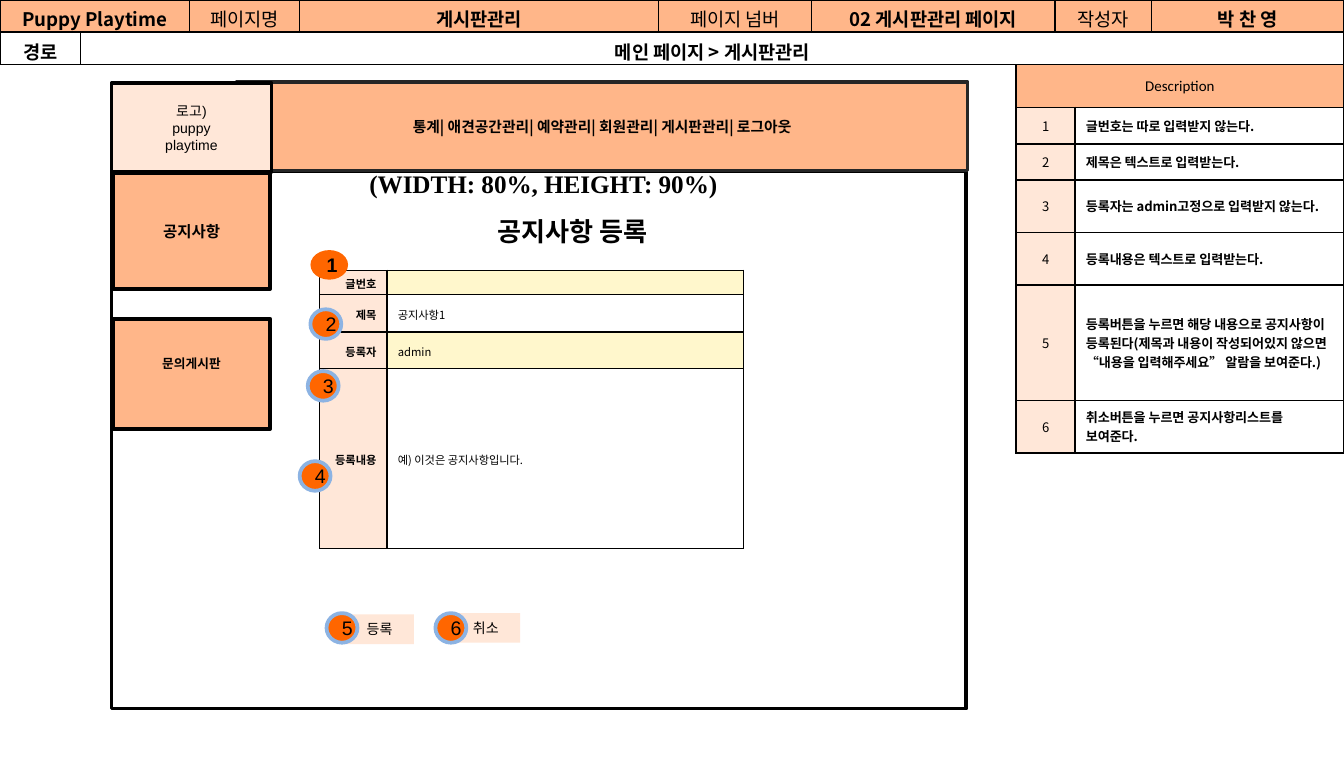
from lxml.etree import SubElement
from pptx import Presentation
from pptx.dml.color import RGBColor
from pptx.enum.shapes import MSO_SHAPE
from pptx.enum.text import MSO_ANCHOR, PP_ALIGN
from pptx.oxml.ns import qn
from pptx.util import Inches, Pt

COLS, ROWS = 1000, 563
WIDTH, HEIGHT = Inches(10), Inches(5.63)
NOTO, ARIAL, TIMES = "Noto Sans CJK KR", "Arial", "Times New Roman"
COLOR = {"black": "000000", "dark": "262626", "peach": "FFB689", "pale": "FFE7D8",
         "cream": "FFF7CC", "white": "FFFFFF", "orange": "FF6600", "blue": "8CB3E3"}


def tint(name):
    """Return a named colour."""
    return RGBColor.from_string(COLOR[name])


def place(box, part):
    """Turn grid units inside a box into slide lengths."""
    left, top, wide, high = part
    return (WIDTH * (box[0] + left) // COLS, HEIGHT * (box[1] + top) // ROWS,
            WIDTH * wide // COLS, HEIGHT * high // ROWS)


def write(frame, text, size, face=NOTO, bold=False, align=PP_ALIGN.CENTER):
    """Fill a text frame and format its runs."""
    frame.text = text
    for para in frame.paragraphs:
        para.alignment = align
        for run in para.runs:
            run.font.size, run.font.name, run.font.bold = Pt(size), face, bold
            run.font.color.rgb = tint("black")
            SubElement(run._r.get_or_add_rPr(), qn("a:ea"), typeface=NOTO)
        if not para.runs:
            SubElement(para._p, qn("a:endParaRPr"), sz=str(int(size * 100)))


def block(slide, box, part, fill, line=None, kind=MSO_SHAPE.RECTANGLE):
    """Draw a filled preset shape and return it."""
    shape = slide.shapes.add_shape(kind, *place(box, part))
    shape.shadow.inherit = False
    shape.fill.solid()
    shape.fill.fore_color.rgb = tint(fill)
    if line:
        shape.line.color.rgb = tint(line)
        shape.line.width = Pt(2)
    else:
        shape.line.fill.background()
    frame = shape.text_frame
    frame.word_wrap = True
    frame.vertical_anchor = MSO_ANCHOR.MIDDLE
    frame.margin_left = frame.margin_right = Inches(0.08)
    frame.margin_top = frame.margin_bottom = Inches(0.04)
    return shape


def label(slide, box, part, text, size, face, wrap):
    """Add a bold line of text."""
    frame = slide.shapes.add_textbox(*place(box, part)).text_frame
    frame.word_wrap = wrap
    write(frame, text, size, face, True, PP_ALIGN.LEFT)


def grid(slide, box, cols, rows):
    """Add a plain table with the given column and row units."""
    table = slide.shapes.add_table(len(rows), len(cols), *place(box, (0, 0, *box[2:]))).table
    table.first_row = table.horz_banding = False
    for col, wide in zip(table.columns, cols):
        col.width = WIDTH * wide // COLS
    for row, high in zip(table.rows, rows):
        row.height = HEIGHT * high // ROWS
    return table


def style(cell, fill, line, insets, anchor=MSO_ANCHOR.MIDDLE):
    """Set a cell's fill, borders, margins and anchor."""
    cell.fill.solid()
    cell.fill.fore_color.rgb = tint(fill)
    cell.vertical_anchor = anchor
    cell.margin_left = cell.margin_right = Inches(insets[0])
    cell.margin_top, cell.margin_bottom = Inches(insets[1]), Inches(insets[2])
    props = cell._tc.get_or_add_tcPr()
    for spot, side in enumerate(("lnL", "lnR", "lnT", "lnB")):
        edge = SubElement(props, qn("a:" + side), w=str(Pt(line)))
        paint = SubElement(edge, qn("a:solidFill"))
        SubElement(paint, qn("a:srgbClr"), val=COLOR["black"])
        props.insert(spot, edge)


def header(slide, box):
    """Draw the page information rows."""
    table = grid(slide, box, (60, 81, 82, 267, 114, 181, 72, 143), (24, 24))
    table.cell(0, 0).merge(table.cell(0, 1))
    table.cell(1, 1).merge(table.cell(1, 7))
    top = ("Puppy Playtime", "", "페이지명", "게시판관리", "페이지 넘버",
           "02 게시판관리 페이지", "작성자", "박 찬 영")
    low = ("경로", "메인 페이지 > 게시판관리") + ("",) * 6
    for row, words in enumerate((top, low)):
        for col, text in enumerate(words):
            cell = table.cell(row, col)
            style(cell, ("peach", "white")[row], 1, (0.09, 0.04, 0),
                  (MSO_ANCHOR.TOP, MSO_ANCHOR.MIDDLE)[row])
            write(cell.text_frame, text, 10, bold=row == 1 or col not in (2, 4, 6))


def notes(slide, box):
    """Draw the numbered description table."""
    table = grid(slide, box, (44, 200), (32, 27, 27, 39, 39, 86, 39))
    table.cell(0, 0).merge(table.cell(0, 1))
    words = ("글번호는 따로 입력받지 않는다.", "제목은 텍스트로 입력받는다.",
             "등록자는 admin고정으로 입력받지 않는다.", "등록내용은 텍스트로 입력받는다.",
             "등록버튼을 누르면 해당 내용으로 공지사항이 등록된다(제목과 내용이 작성되어있지 "
             "않으면 “내용을 입력해주세요” 알람을 보여준다.)",
             "취소버튼을 누르면 공지사항리스트를 보여준다.")
    for cell in (table.cell(0, 0), table.cell(0, 1)):
        style(cell, "peach", 1, (0.08, 0.03, 0.03))
    write(table.cell(0, 0).text_frame, "Description", 8, "Calibri")
    for row, text in enumerate(words, 1):
        mark, body = table.cell(row, 0), table.cell(row, 1)
        style(mark, "pale", 1, (0.08, 0.03, 0.03))
        style(body, "white", 1, (0.08, 0.03, 0.03))
        write(mark.text_frame, str(row), 7)
        write(body.text_frame, text, 7, bold=True, align=PP_ALIGN.LEFT)


def menu(slide, box):
    """Draw the window with its side menu, top bar and logo."""
    block(slide, box, (0, 66, 636, 400), "white", "black")
    ask = block(slide, box, (1, 176, 117, 82), "peach", "black").text_frame
    ask.margin_bottom = Inches(0.19)
    write(ask, "문의게시판", 6.8, ARIAL, True)
    news = block(slide, box, (1, 68, 117, 86), "peach", "black")
    write(news.text_frame, "공지사항", 8.3, bold=True)
    bar = block(slide, box, (93, 0, 544, 66), "peach", "dark")
    write(bar.text_frame, "통계| 애견공간관리| 예약관리| 회원관리| 게시판관리| 로그아웃", 7.9, bold=True)
    logo = block(slide, box, (0, 1, 119, 66), "pale", "black")
    write(logo.text_frame, "로고)\npuppy\nplaytime", 7.5, ARIAL)
    label(slide, box, (182, 59, 333, 54), "(WIDTH: 80%, HEIGHT: 90%)", 13.5, TIMES, True)
    label(slide, box, (277, 94, 142, 34), "공지사항 등록", 14, "Calibri", False)


def form(slide, box):
    """Draw the notice entry table."""
    table = grid(slide, box, (50, 265), (18, 28, 27, 134))
    lines = (("글번호", "", "cream"), ("제목", "공지사항1", "white"),
             ("등록자", "admin", "cream"), ("등록내용", "예) 이것은 공지사항입니다.", "white"))
    for row, (name, value, fill) in enumerate(lines):
        head, body = table.cell(row, 0), table.cell(row, 1)
        style(head, "pale", 0.75, (0.08, 0.04, 0.02))
        style(body, fill, 0.75, (0.08, 0.04, 0.02))
        write(head.text_frame, name, 6, bold=True, align=PP_ALIGN.RIGHT)
        write(body.text_frame, value, 6, align=PP_ALIGN.LEFT)


def marks(slide, box):
    """Draw the two buttons and the numbered badges."""
    for left, top, text in ((34, 271, "등록"), (113, 270, "취소")):
        key = block(slide, box, (left, top, 51, 22), "pale")
        write(key.text_frame, text, 7.5, TIMES)
    spots = ((8, 0), (8, 44), (6, 90), (0, 157), (20, 270), (101, 270))
    for num, (left, top) in enumerate(spots, 1):
        first = num == 1
        dot = block(slide, box, (left, top, 28 if first else 23, 22), "orange",
                    None if first else "blue", MSO_SHAPE.OVAL)
        write(dot.text_frame, str(num), 10.5, ARIAL, first)


def main():
    """Build and save the slide."""
    deck = Presentation()
    deck.slide_width, deck.slide_height = WIDTH, HEIGHT
    slide = deck.slides.add_slide(deck.slide_layouts[6])
    notes(slide, (756, 48, 244, 288))
    menu(slide, (83, 61, 637, 466))
    form(slide, (238, 201, 315, 207))
    marks(slide, (223, 186, 164, 292))
    header(slide, (0, 0, 1000, 48))
    deck.save("out.pptx")


if __name__ == "__main__":
    main()
